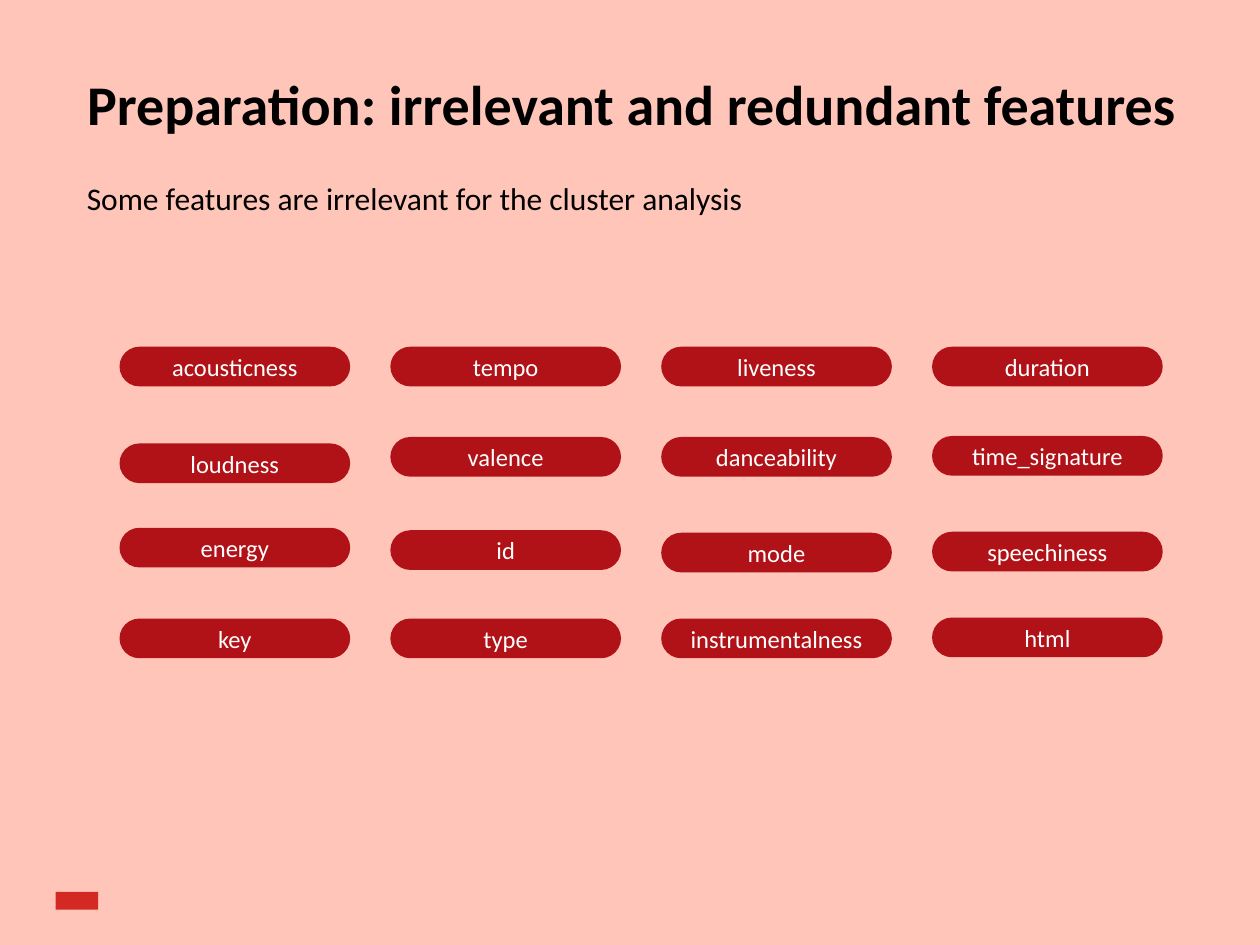
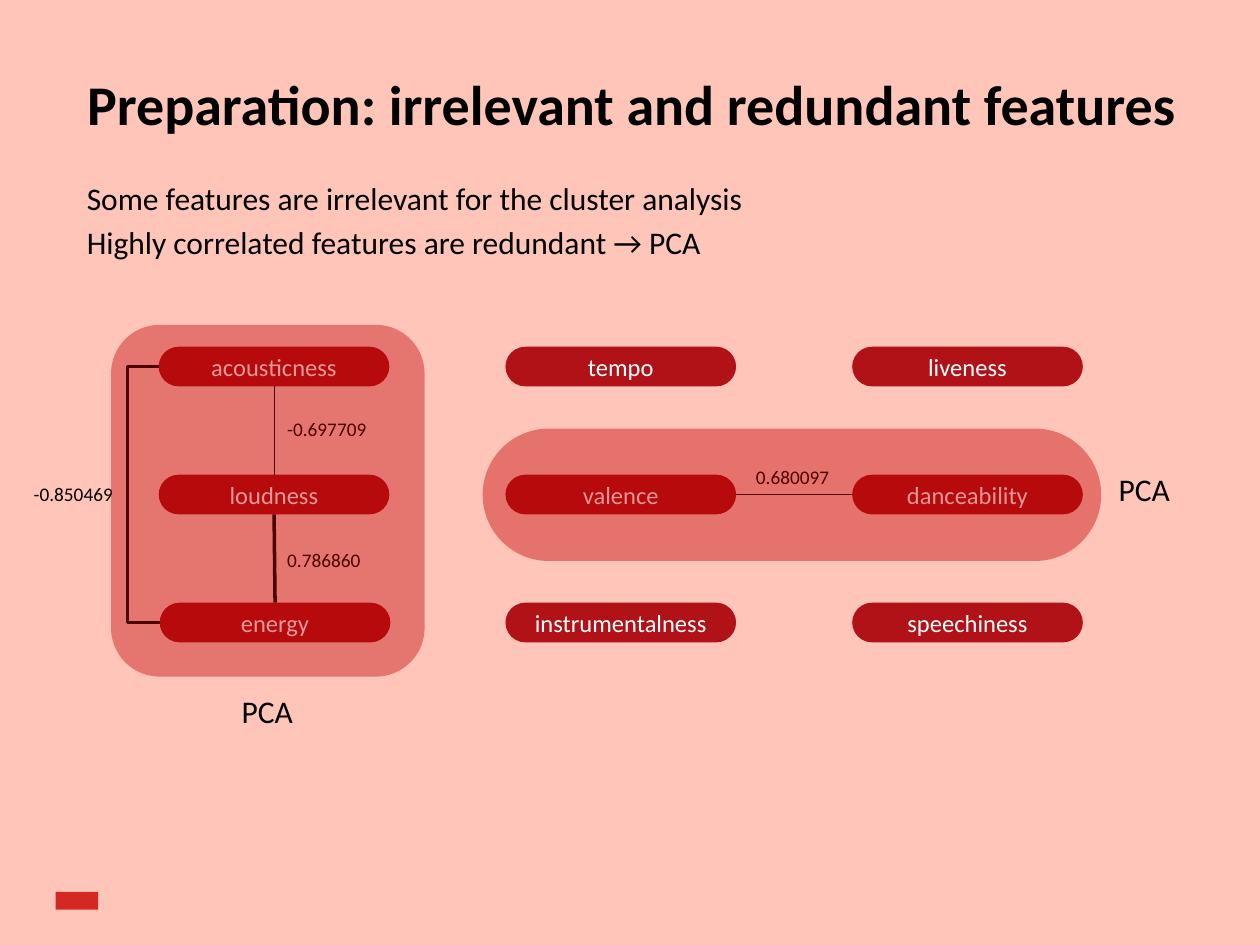
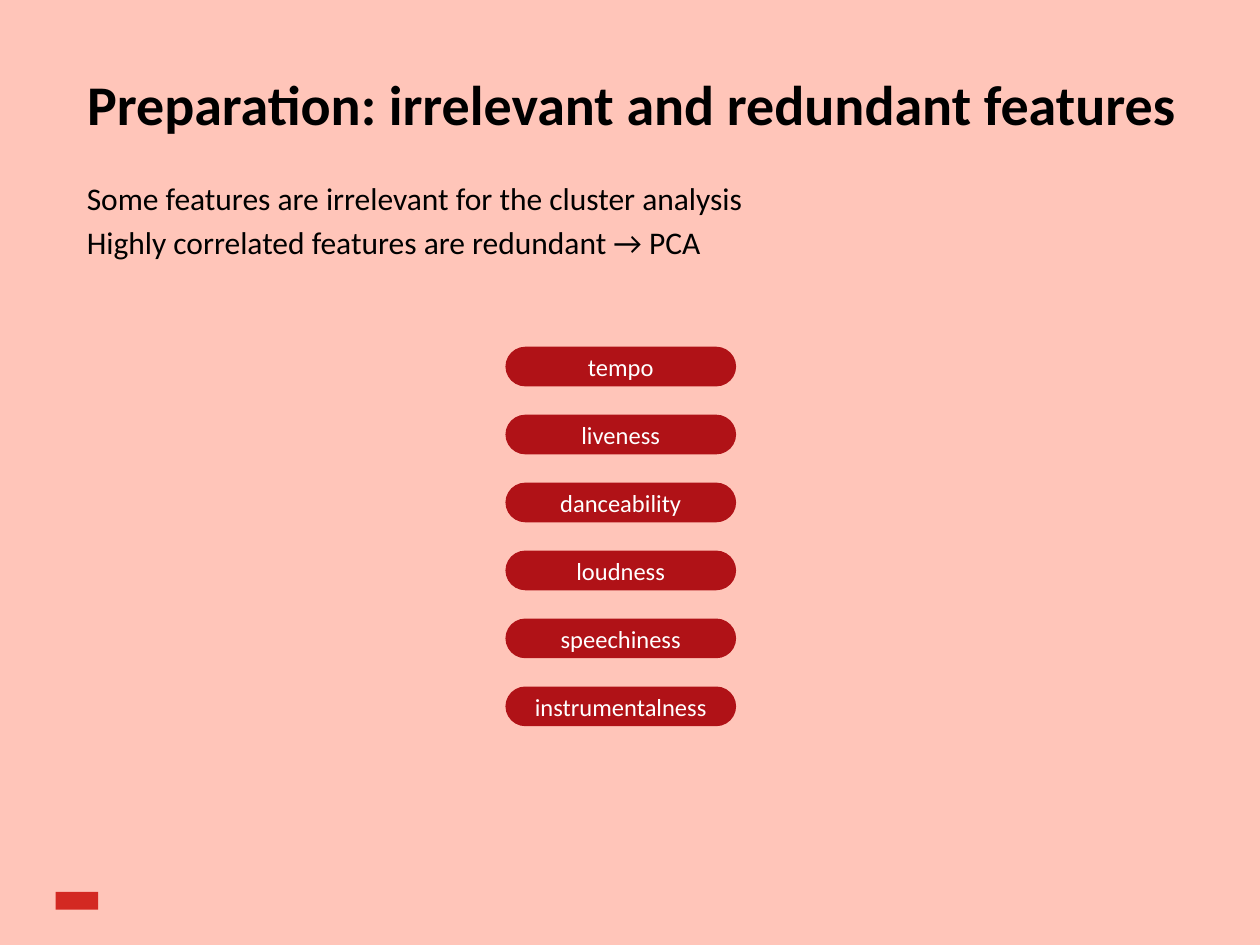
"""Build three slides on dropping irrelevant and redundant features."""
from lxml import etree
from pptx import Presentation, util as u
from pptx.dml.color import RGBColor
from pptx.enum import shapes, text
from pptx.oxml import ns

BLACK, WHITE = "000000", "FFFFFF"
BACKGROUND, PILL, MARKER, GROUP = "FFC5B9", "B01217", "D32922", "C00000"
PILL_WIDTH, PILL_HEIGHT, FIRST_ROW = 4.65, 0.8, 6.99
TITLE = "Preparation: irrelevant and redundant features"
IRRELEVANT = ("Some features are irrelevant for the cluster analysis", 18, 1.5, 3.48, 13.89, 1.02)
REDUNDANT = ("Highly correlated features are redundant → PCA", 18, 1.5, 4.37, 13.08, 1.02)


def write_text(shape, words, size, colour, align=text.PP_ALIGN.LEFT):
    frame = shape.text_frame
    frame.text = words
    frame.paragraphs[0].alignment = align
    font = frame.paragraphs[0].runs[0].font
    font.name, font.size = "Calibri", u.Pt(size)
    font.color.rgb = RGBColor.from_string(colour)
    return font


def add_block(slide, place, colour, rounding=0):
    preset = shapes.MSO_SHAPE.ROUNDED_RECTANGLE if rounding else shapes.MSO_SHAPE.RECTANGLE
    block = slide.shapes.add_shape(preset, *map(u.Cm, place))
    if rounding:
        block.adjustments[0] = rounding
    block.shadow.inherit = False
    block.fill.solid()
    block.fill.fore_color.rgb = RGBColor.from_string(colour)
    block.line.fill.background()
    return block


all_features = [
    (2.41 + 5.46 * column, top, feature)
    for column, features in enumerate([
        [("acousticness", FIRST_ROW), ("loudness", 8.94), ("energy", 10.64), ("key", 12.47)],
        [("tempo", FIRST_ROW), ("valence", 8.81), ("id", 10.69), ("type", 12.47)],
        [("liveness", FIRST_ROW), ("danceability", 8.81), ("mode", 10.74), ("instrumentalness", 12.47)],
        [("duration", FIRST_ROW), ("time_signature", 8.79), ("speechiness", 10.72), ("html", 12.45)],
    ])
    for feature, top in features
]
correlated_features = [
    (3.2 + 6.99 * column + (0.02 if feature == "energy" else 0), FIRST_ROW + 2.58 * row, feature)
    for column, features in enumerate([
        ["acousticness", "loudness", "energy"],
        ["tempo", "valence", "instrumentalness"],
        ["liveness", "danceability", "speechiness"],
    ])
    for row, feature in enumerate(features)
]
remaining_features = [
    (10.19, FIRST_ROW + 1.37 * row, feature)
    for row, feature in enumerate(
        ["tempo", "liveness", "danceability", "loudness", "speechiness", "instrumentalness"])
]
correlation_notes = [
    ("0.680097", 11, 14.99, 9.25, 2.01, 0.74),
    ("-0.697709", 11, 5.54, 8.28, 2.13, 0.74),
    ("0.786860", 11, 5.54, 10.92, 2.01, 0.74),
    ("-0.850469", 11, 0.43, 9.6, 2.13, 0.74),
    ("PCA", 18, 4.62, 13.82, 1.55, 1.02),
    ("PCA", 18, 22.3, 9.35, 1.55, 1.02),
]

deck = Presentation()
deck.slide_width, deck.slide_height = u.Cm(25.4), u.Cm(19.05)
master_fill = deck.slide_master.background.fill
master_fill.solid()
master_fill.fore_color.rgb = RGBColor.from_string(BACKGROUND)

pills_by_slide = []
for features, notes in [
    (all_features, [IRRELEVANT]),
    (correlated_features, [IRRELEVANT, REDUNDANT] + correlation_notes),
    (remaining_features, [IRRELEVANT, REDUNDANT]),
]:
    slide = deck.slides.add_slide(deck.slide_layouts[5])
    title = slide.shapes.title
    title.left, title.top, title.width, title.height = map(u.Cm, (1.5, 1.27, 22.66, 1.63))
    write_text(title, TITLE, 32, BLACK).bold = True
    title.text_frame.vertical_anchor = text.MSO_ANCHOR.TOP
    title.text_frame.word_wrap = False
    title.text_frame.auto_size = text.MSO_AUTO_SIZE.SHAPE_TO_FIT_TEXT
    add_block(slide, (1.12, 17.98, 0.86, 0.36), MARKER)

    pills = {}
    for left, top, feature in features:
        pill = add_block(slide, (left, top, PILL_WIDTH, PILL_HEIGHT), PILL, 0.5)
        write_text(pill, feature, 14, WHITE, text.PP_ALIGN.CENTER)
        pill.text_frame.vertical_anchor = text.MSO_ANCHOR.MIDDLE
        pills[feature] = pill
    pills_by_slide.append(pills)

    for words, size, *place in notes:
        note = slide.shapes.add_textbox(*map(u.Cm, place))
        write_text(note, words, size, BLACK)
        note.text_frame.word_wrap = False
        note.text_frame.auto_size = text.MSO_AUTO_SIZE.SHAPE_TO_FIT_TEXT

correlation_slide, pills = deck.slides[1], pills_by_slide[1]
STRAIGHT, ELBOW = shapes.MSO_CONNECTOR.STRAIGHT, shapes.MSO_CONNECTOR.ELBOW
for kind, first, first_side, second, second_side, weight in [
    (STRAIGHT, "loudness", 2, "energy", 0, 2),
    (STRAIGHT, "acousticness", 2, "loudness", 0, 0.5),
    (ELBOW, "acousticness", 1, "energy", 1, 2),
    (STRAIGHT, "valence", 3, "danceability", 1, 0.5),
]:
    link = correlation_slide.shapes.add_connector(kind, 0, 0, 0, 0)
    link.begin_connect(pills[first], first_side)
    link.end_connect(pills[second], second_side)
    link.line.width = u.Pt(weight)
    link.line.color.rgb = RGBColor.from_string(BLACK)
    properties = link._element.spPr
    etree.SubElement(properties, ns.qn("a:effectLst"))
    if kind == ELBOW:
        guides = properties.find(ns.qn("a:prstGeom")).get_or_add_avLst()
        bend = round(-u.Cm(0.63) / link.width * 100000)
        etree.SubElement(guides, ns.qn("a:gd"), name="adj1", fmla=f"val {bend}")

for place, rounding, opacity in [
    ((2.24, 6.55, 6.32, 7.09), 0.155, 40),
    ((9.73, 8.64, 12.47, 2.67), 0.5, 41),
]:
    group = add_block(correlation_slide, place, GROUP, rounding)
    colour = group._element.spPr.find(ns.qn("a:solidFill"))[0]
    etree.SubElement(colour, ns.qn("a:alpha"), val=str(opacity * 1000))

deck.save("out.pptx")
